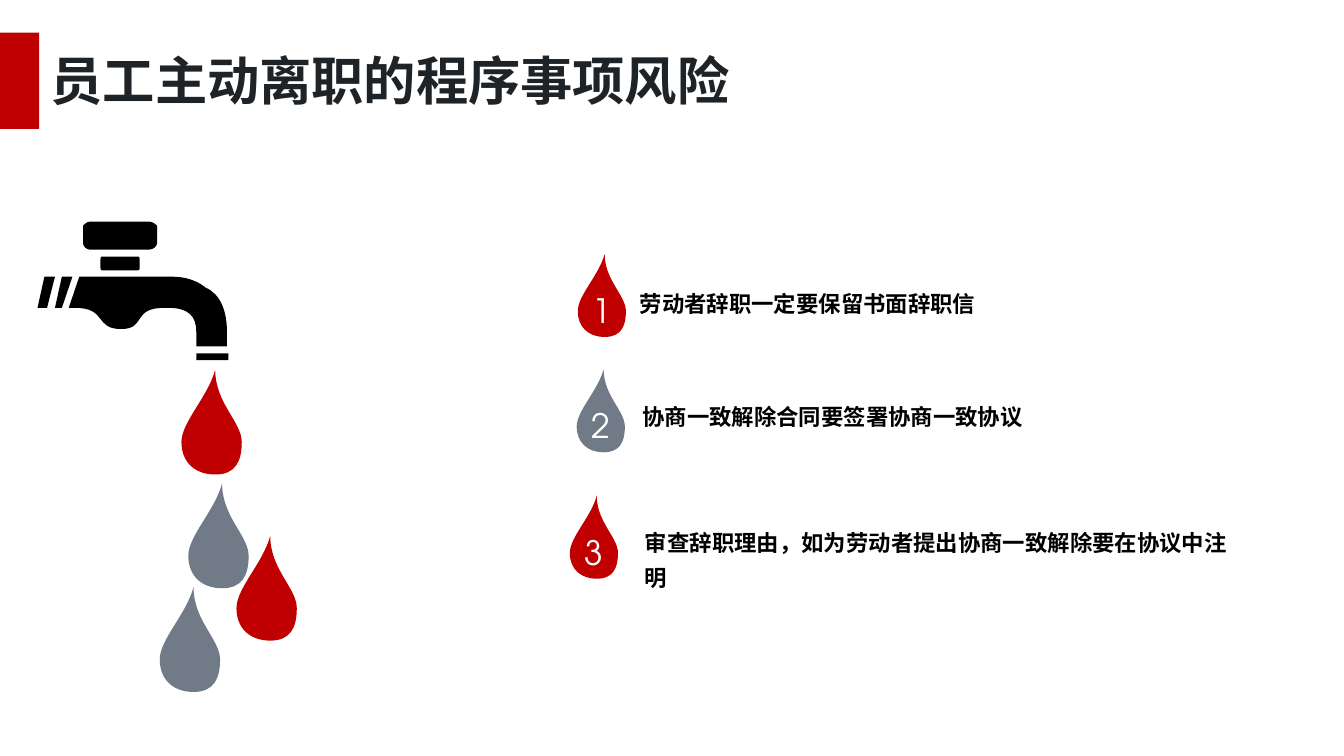
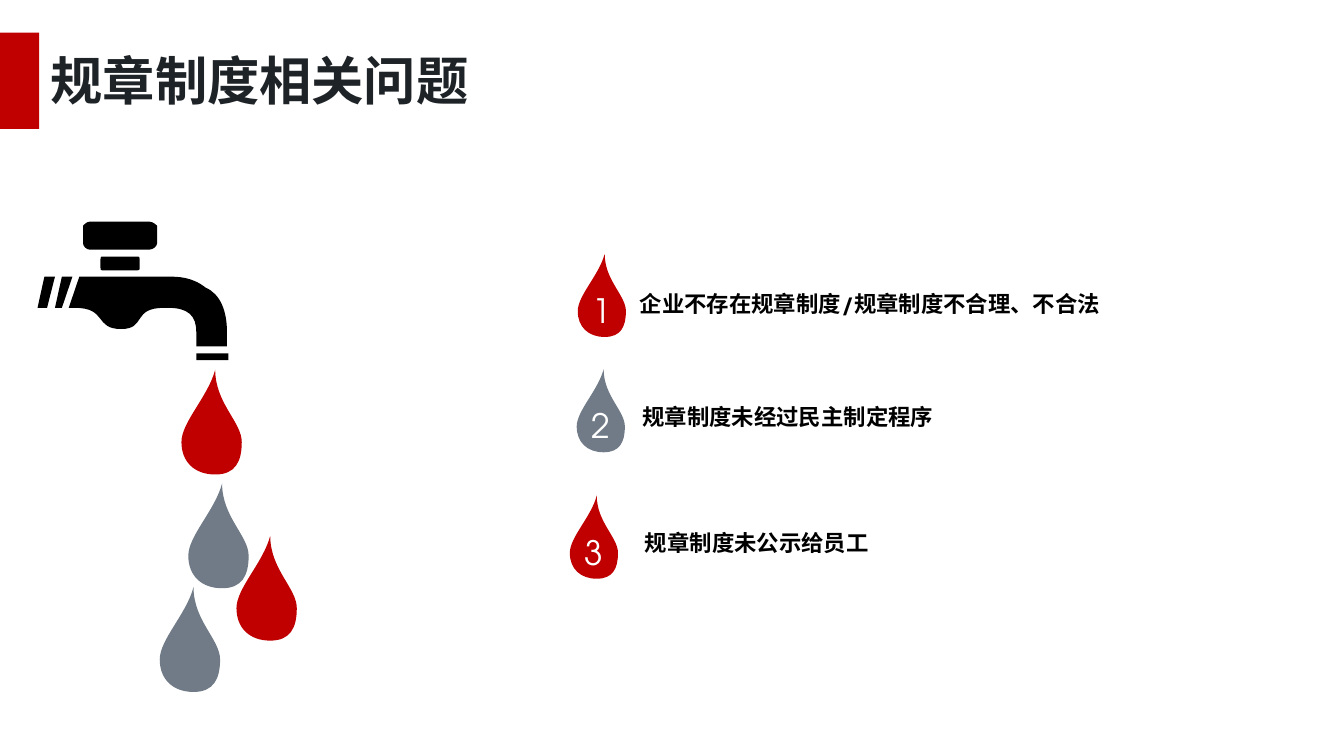
from math import ceil

from pptx import Presentation
from pptx.dml.color import RGBColor
from pptx.enum.shapes import MSO_SHAPE
from pptx.enum.text import MSO_ANCHOR, MSO_AUTO_SIZE, PP_ALIGN
from pptx.oxml.ns import qn
from pptx.oxml.xmlchemy import OxmlElement
from pptx.util import Cm, Pt

COLORS = {
    "red": "C00000",
    "gray": "707B87",
    "black": "000000",
    "title": "1E2327",
    "white": "FFFFFF",
}
FONT_NAME = "TeX Gyre Adventor"
FONTS = {
    "title": {"name": FONT_NAME, "size": Pt(28), "bold": True},
    "item": {"name": FONT_NAME, "size": Pt(12), "bold": True},
    "number": {"name": FONT_NAME, "size": Pt(18), "bold": False},
}
PARAGRAPHS = {
    "title": {"alignment": PP_ALIGN.LEFT},
    "item": {"alignment": PP_ALIGN.LEFT, "line_spacing": 1.3},
    "number": {"alignment": PP_ALIGN.CENTER},
}

# Outlines in cm: a start point, then lines (2 values) and curves (6 values)
FAUCET = {
    "handle": [
        (2.97, 4.6), (2.97, 4.65, 2.9, 4.72, 2.82, 4.72), (1.7, 4.72),
        (1.63, 4.72, 1.57, 4.65, 1.57, 4.6), (1.57, 4.27),
        (1.57, 4.27, 1.63, 4.19, 1.7, 4.19), (2.82, 4.19),
        (2.9, 4.19, 2.97, 4.27, 2.97, 4.27),
    ],
    "stem": [
        (2.64, 5.05), (2.64, 5.11, 2.64, 5.11, 2.57, 5.11), (1.96, 5.11),
        (1.9, 5.11, 1.9, 5.11, 1.9, 5.05), (1.9, 4.9),
        (1.9, 4.85, 1.9, 4.85, 1.96, 4.85), (2.57, 4.85),
        (2.64, 4.85, 2.64, 4.85, 2.64, 4.9),
    ],
    "right slat": [(1.37, 5.23), (1.17, 5.23), (1.04, 5.82), (1.17, 5.82)],
    "left slat": [(1.04, 5.23), (0.84, 5.23), (0.71, 5.82), (0.89, 5.82)],
    "spout": [
        (3.89, 5.44), (3.63, 5.23, 3.35, 5.23, 3.18, 5.23), (1.5, 5.23),
        (1.3, 5.82), (3.18, 5.82), (3.56, 5.82, 3.71, 5.97, 3.71, 6.27),
        (3.71, 6.55), (4.29, 6.55), (4.29, 6.27),
        (4.29, 5.89, 4.17, 5.56, 3.89, 5.44),
    ],
    "belly": [
        (3.1, 5.82), (2.49, 5.82, 2.77, 6.22, 2.29, 6.22),
        (1.78, 6.22, 2.03, 5.82, 1.42, 5.82),
        (1.17, 5.82, 1.78, 5.44, 2.29, 5.44),
        (2.77, 5.44, 3.43, 5.82, 3.1, 5.82),
    ],
}
OUTLET = (3.71, 6.68, 0.61, 0.13)

# Drop outline as shares of its width and height
DROP = [
    (0, 0.69), (0, 0.88, 0.22, 1, 0.56, 1), (0.89, 1, 1, 0.88, 1, 0.69),
    (1, 0.5, 0.56, 0.32, 0.56, 0), (0.44, 0.26, 0, 0.5, 0, 0.69),
]
LARGE_DROP = (1.14, 1.98)
SMALL_DROP = (0.91, 1.57)
FALLING_DROPS = [
    (3.43, 6.99, "red"), (3.56, 9.14, "gray"),
    (3.02, 11.1, "gray"), (4.47, 10.13, "red"),
]

# Each row: drop left, drop top, drop color, text left, text top
ROWS = [
    (10.92, 4.8, "red", 11.84, 5.21),
    (10.9, 6.98, "gray", 11.89, 7.34),
    (10.77, 9.37, "red", 11.94, 9.73),
]
ITEM_WIDTH = 11.63
CHARACTERS_PER_LINE = 26

SLIDES = [
    ("员工主动离职的程序事项风险", [
        "劳动者辞职一定要保留书面辞职信",
        "协商一致解除合同要签署协商一致协议",
        "审查辞职理由，如为劳动者提出协商一致解除要在协议中注明",
    ]),
    ("规章制度相关问题", [
        "企业不存在规章制度/规章制度不合理、不合法",
        "规章制度未经过民主制定程序",
        "规章制度未公示给员工",
    ]),
]


class SlideBuilder:
    def __init__(self, presentation):
        self.presentation = presentation
        self.slide = None

    def new_slide(self):
        self.slide = self.presentation.slides.add_slide(
            self.presentation.slide_layouts[6])

    def paint(self, shape, color):
        shape.shadow.inherit = False
        shape.fill.solid()
        shape.fill.fore_color.rgb = RGBColor.from_string(COLORS[color])
        shape.line.fill.background()

    def set_text(self, shape, text, style, color):
        paragraph = shape.text_frame.paragraphs[0]
        run = paragraph.add_run()
        run.text = text
        for target, values in ((paragraph, PARAGRAPHS[style]),
                               (run.font, FONTS[style])):
            for name, value in values.items():
                setattr(target, name, value)
        run.font.color.rgb = RGBColor.from_string(COLORS[color])

    def rectangle(self, box, color, shapes=None):
        shapes = shapes or self.slide.shapes
        shape = shapes.add_shape(MSO_SHAPE.RECTANGLE, *map(Cm, box))
        self.paint(shape, color)

    def textbox(self, box, text, style, color):
        shape = self.slide.shapes.add_textbox(*map(Cm, box))
        shape.text_frame.word_wrap = True
        shape.text_frame.auto_size = MSO_AUTO_SIZE.SHAPE_TO_FIT_TEXT
        self.set_text(shape, text, style, color)

    def outline(self, steps, color, shapes=None):
        # An empty group is falsy, so compare with None
        shapes = self.slide.shapes if shapes is None else shapes
        start, *segments = [
            [(Cm(x), Cm(y)) for x, y in zip(step[::2], step[1::2])]
            for step in steps]
        builder = shapes.build_freeform(*start[0])
        for segment in segments:
            builder.add_line_segments(segment, close=False)
        builder.add_line_segments([], close=True)
        shape = builder.convert_to_shape()
        self.paint(shape, color)

        # Turn each run of three lines into one cubic curve
        geometry = next(shape.element.iter(qn("a:path")))
        lines = iter(geometry.findall(qn("a:lnTo")))
        for segment in segments:
            parts = [next(lines) for _ in segment]
            if len(parts) == 3:
                curve = OxmlElement("a:cubicBezTo")
                parts[0].addprevious(curve)
                for part in parts:
                    curve.append(part[0])
                    geometry.remove(part)
        return shape

    def drop(self, left, top, size, color, number=None):
        width, height = size
        steps = [
            [left + value * width if index % 2 == 0 else top + value * height
             for index, value in enumerate(step)]
            for step in DROP]
        shape = self.outline(steps, color)
        if number:
            shape.text_frame.vertical_anchor = MSO_ANCHOR.BOTTOM
            self.set_text(shape, str(number), "number", "white")

    def title(self, text):
        self.rectangle((0, 0.62, 0.74, 1.82), "red")
        self.textbox((0.71, 0.79, 16.1, 1.45), text, "title", "title")

    def faucet(self):
        group = self.slide.shapes.add_group_shape()
        for steps in FAUCET.values():
            self.outline(steps, "black", group.shapes)
        self.rectangle(OUTLET, "black", group.shapes)
        for left, top, color in FALLING_DROPS:
            self.drop(left, top, LARGE_DROP, color)

    def items(self, texts):
        for number, (row, text) in enumerate(zip(ROWS, texts), start=1):
            drop_left, drop_top, color, left, top = row
            lines = ceil(len(text) / CHARACTERS_PER_LINE)
            height = 0.2 + 0.66 * lines
            self.drop(drop_left, drop_top, SMALL_DROP, color, number)
            self.textbox((left, top, ITEM_WIDTH, height), text, "item", "black")


def main():
    presentation = Presentation()
    presentation.slide_width = Cm(25.4)
    presentation.slide_height = Cm(14.29)
    builder = SlideBuilder(presentation)
    for title, texts in SLIDES:
        builder.new_slide()
        builder.title(title)
        builder.faucet()
        builder.items(texts)
    presentation.save("out.pptx")


if __name__ == "__main__":
    main()
